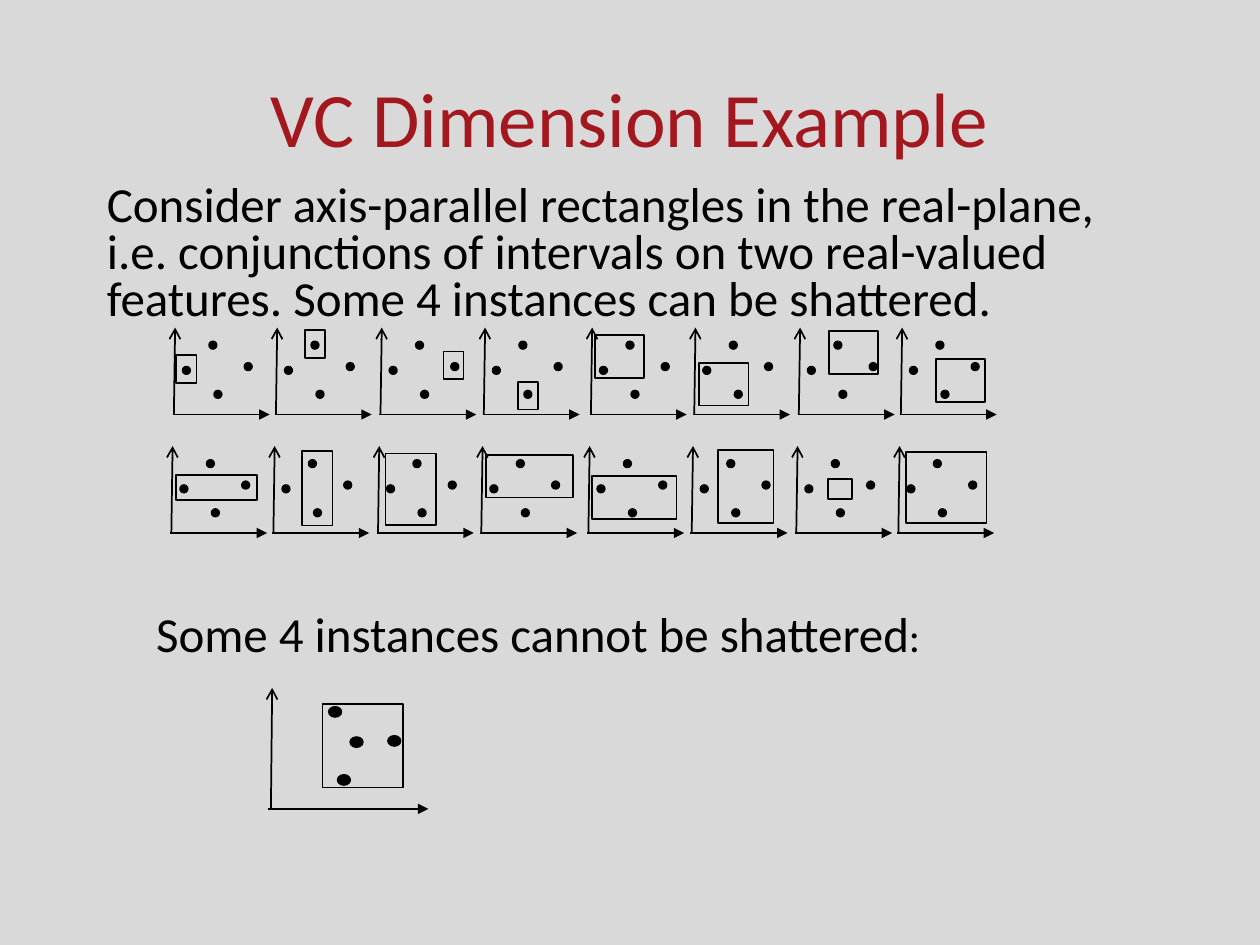
from lxml import etree
from pptx import Presentation
from pptx.dml.color import RGBColor
from pptx.enum.shapes import MSO_CONNECTOR, MSO_SHAPE
from pptx.enum.text import MSO_ANCHOR, PP_ALIGN
from pptx.oxml.ns import qn
from pptx.util import Inches, Pt

COLORS = {"background": "D9D9D9", "title": "A3171E", "ink": "000000"}
FONT = "Calibri"

COLUMN_LEFTS = [1.37, 2.18, 3.01, 3.83, 4.68, 5.5, 6.33, 7.14]
ROW_TOPS = [2.6, 3.54]
ROW_SHIFT = -0.02
PLOT_DOTS = [(0.08, 0.31), (0.33, 0.5), (0.57, 0.28), (0.29, 0.11)]
LARGE_DOTS = [(0.65, 0.39), (0.55, 0.69), (0.95, 0.38), (0.48, 0.15)]

RECTANGLES = [
    (1.4, 2.82, 0.16, 0.22), (2.42, 2.62, 0.16, 0.22),
    (3.52, 2.79, 0.16, 0.22), (4.11, 3.03, 0.16, 0.22),
    (4.72, 2.66, 0.39, 0.34), (5.55, 2.88, 0.39, 0.34),
    (6.58, 2.63, 0.39, 0.34), (7.43, 2.85, 0.39, 0.34),
    (1.4, 3.77, 0.64, 0.2), (2.4, 3.58, 0.24, 0.59),
    (3.06, 3.6, 0.4, 0.57), (3.86, 3.61, 0.69, 0.34),
    (4.7, 3.78, 0.67, 0.34), (5.7, 3.57, 0.44, 0.58),
    (6.57, 3.8, 0.19, 0.16), (7.19, 3.59, 0.64, 0.56),
]


def color(name):
    return RGBColor.from_string(COLORS[name])


def add_text(slide, box, runs, ink="ink", align=PP_ALIGN.LEFT,
             anchor=MSO_ANCHOR.TOP, spacing=None, wrap=True):
    shape = slide.shapes.add_textbox(*map(Inches, box))
    frame = shape.text_frame
    frame.word_wrap = wrap
    frame.vertical_anchor = anchor
    paragraph = frame.paragraphs[0]
    paragraph.alignment = align
    if spacing:
        paragraph.line_spacing = spacing
    for text, size in runs:
        run = paragraph.add_run()
        run.text = text
        run.font.name = FONT
        run.font.size = Pt(size)
        run.font.color.rgb = color(ink)


def add_axis(shapes, start, end, arrow_end, arrow_type):
    axis = shapes.add_connector(
        MSO_CONNECTOR.STRAIGHT, *map(Inches, start + end))
    axis.line.color.rgb = color("ink")
    axis.line.width = Pt(1)
    etree.SubElement(axis.line._get_or_add_ln(), qn(f"a:{arrow_end}"),
                     type=arrow_type)
    etree.SubElement(axis._element.spPr, qn("a:effectLst"))


def add_outline(shapes, kind, box, filled=False):
    shape = shapes.add_shape(kind, *map(Inches, box))
    shape.shadow.inherit = False
    if filled:
        shape.fill.solid()
        shape.fill.fore_color.rgb = color("ink")
    else:
        shape.fill.background()
    shape.line.color.rgb = color("ink")
    shape.line.width = Pt(1)


def add_plot(slide, left, top, width, height, rise, dots, dot_size):
    shapes = slide.shapes.add_group_shape().shapes
    base = top + height
    add_axis(shapes, (left + rise, top), (left + rise - 0.01, base),
             "headEnd", "arrow")
    add_axis(shapes, (left, base), (left + width, base),
             "tailEnd", "triangle")
    for x, y in dots:
        add_outline(shapes, MSO_SHAPE.OVAL, (left + x, top + y, *dot_size),
                    filled=True)
    return shapes


def main():
    presentation = Presentation()
    presentation.slide_width = Inches(10)
    presentation.slide_height = Inches(7.5)
    slide = presentation.slides.add_slide(presentation.slide_layouts[6])
    slide.background.fill.solid()
    slide.background.fill.fore_color.rgb = color("background")

    add_text(slide, (0.5, 0.3, 9, 1.25), [("VC Dimension Example", 44)],
             ink="title", align=PP_ALIGN.CENTER, anchor=MSO_ANCHOR.MIDDLE)
    add_text(slide, (0.75, 1.42, 8.5, 1.07),
             [("Consider axis-parallel rectangles in the real-plane, i.e. "
               "conjunctions of intervals on two real-valued features. "
               "Some 4 instances can be shattered.", 28)], spacing=0.8)

    for row, top in enumerate(ROW_TOPS):
        for left in COLUMN_LEFTS:
            add_plot(slide, left + row * ROW_SHIFT, top, 0.77, 0.69, 0.02,
                     PLOT_DOTS, (0.06, 0.06))
    for box in RECTANGLES:
        add_outline(slide.shapes, MSO_SHAPE.RECTANGLE, box)

    add_text(slide, (1.14, 4.74, 6.34, 0.57),
             [("Some 4 instances cannot be shattered", 28), (":", 24)],
             wrap=False)
    large_plot = add_plot(slide, 2.13, 5.46, 1.27, 0.96, 0.03,
                          LARGE_DOTS, (0.1, 0.08))
    add_outline(large_plot, MSO_SHAPE.RECTANGLE, (2.56, 5.59, 0.64, 0.66))

    presentation.save("out.pptx")


main()
